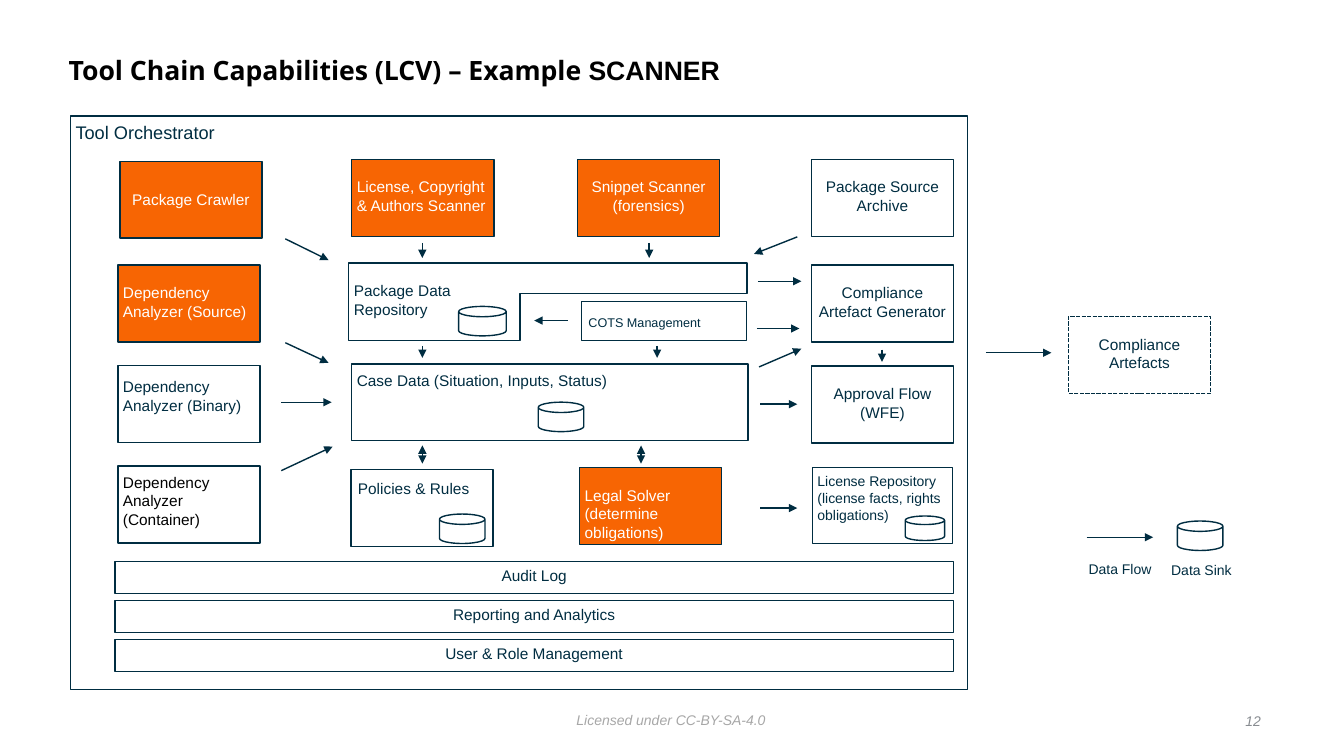
from dataclasses import dataclass

from lxml.etree import SubElement
from pptx import Presentation
from pptx.dml.color import RGBColor
from pptx.enum.dml import MSO_LINE
from pptx.enum.shapes import MSO_CONNECTOR, MSO_SHAPE
from pptx.enum.text import MSO_ANCHOR, PP_ALIGN
from pptx.oxml.ns import qn
from pptx.util import Pt


@dataclass(frozen=True)
class Theme:
    navy: RGBColor = RGBColor(0x00, 0x2D, 0x41)
    orange: RGBColor = RGBColor(0xF7, 0x65, 0x03)
    white: RGBColor = RGBColor(0xFF, 0xFF, 0xFF)
    black: RGBColor = RGBColor(0x00, 0x00, 0x00)
    licence_grey: RGBColor = RGBColor(0xA7, 0xA7, 0xA7)
    number_grey: RGBColor = RGBColor(0x88, 0x8C, 0x91)
    font: str = "Arial"
    title_font: str = "Open Sans"
    title: int = 19
    heading: int = 13
    body: int = 11
    small: int = 10
    tiny: int = 9
    line: int = 1
    inset: float = 3.6


THEME = Theme()
BOX_WIDTH, BOX_HEIGHT = 101.5, 55
LEFT, CENTER, RIGHT = PP_ALIGN.LEFT, PP_ALIGN.CENTER, PP_ALIGN.RIGHT


def set_margins(frame, left=THEME.inset, top=THEME.inset, right=THEME.inset):
    frame.margin_left, frame.margin_top = Pt(left), Pt(top)
    frame.margin_right, frame.margin_bottom = Pt(right), Pt(0)


def format_paragraph(paragraph, size, color, align=LEFT, italic=False):
    paragraph.alignment = align
    font = paragraph.font
    font.name, font.size, font.italic = THEME.font, Pt(size), italic
    font.color.rgb = color


def write(shape, text, size, color, align, **margins):
    frame = shape.text_frame
    frame.word_wrap = True
    frame.vertical_anchor = MSO_ANCHOR.TOP
    set_margins(frame, **margins)
    frame.text = text
    for paragraph in frame.paragraphs:
        format_paragraph(paragraph, size, color, align)


def paint(shape, fill=THEME.white):
    shape.shadow.inherit = False
    shape.fill.solid()
    shape.fill.fore_color.rgb = fill
    shape.line.color.rgb = THEME.navy
    shape.line.width = Pt(THEME.line)


def add_box(slide, text, x, y, width=BOX_WIDTH, height=BOX_HEIGHT, fill=THEME.white,
            color=THEME.navy, size=THEME.body, align=LEFT, top=13, left=THEME.inset):
    box = slide.shapes.add_shape(MSO_SHAPE.RECTANGLE, Pt(x), Pt(y), Pt(width), Pt(height))
    paint(box, fill)
    write(box, text, size, color, align, left=left, top=top)
    return box


def add_capability(slide, text, x, y, **options):
    add_box(slide, text, x, y, fill=THEME.orange, color=THEME.white, **options)


def add_package_repository(slide):
    left, top, step, right = 249.1, 187.9, 371.5, 533.5
    shelf, bottom = 209.5, 243.4
    builder = slide.shapes.build_freeform(Pt(left), Pt(top))
    builder.add_line_segments([(Pt(x), Pt(y)) for x, y in (
        (right, top), (right, shelf), (step, shelf), (step, bottom), (left, bottom))])
    repository = builder.convert_to_shape()
    paint(repository)
    write(repository, "Package Data Repository", THEME.body, THEME.navy, LEFT,
          top=13, right=right - step + THEME.inset)


def add_data_sink(slide, x, y, width=32.5, height=21):
    sink = slide.shapes.add_shape(MSO_SHAPE.CAN, Pt(x), Pt(y), Pt(width), Pt(height))
    sink.adjustments[0] = 0.35
    paint(sink)


def add_flow(slide, x1, y1, x2, y2, both=False):
    flow = slide.shapes.add_connector(MSO_CONNECTOR.STRAIGHT, Pt(x1), Pt(y1), Pt(x2), Pt(y2))
    flow.line.color.rgb = THEME.navy
    flow.line.width = Pt(THEME.line)
    outline = flow.line._get_or_add_ln()
    for end in ("a:headEnd", "a:tailEnd") if both else ("a:tailEnd",):
        SubElement(outline, qn(end), type="triangle")
    SubElement(flow._element.spPr, qn("a:effectLst"))


def add_label(slide, text, x, y, width, color=THEME.navy, align=LEFT, italic=False):
    label = slide.shapes.add_textbox(Pt(x), Pt(y), Pt(width), Pt(19))
    label.text_frame.word_wrap = False
    set_margins(label.text_frame)
    paragraph = label.text_frame.paragraphs[0]
    paragraph.text = text
    format_paragraph(paragraph, THEME.small, color, align, italic)


def add_title(slide):
    title = slide.shapes.title
    title.left, title.top, title.width, title.height = Pt(45.4), Pt(28), Pt(774), Pt(46.8)
    frame = title.text_frame
    frame.vertical_anchor = MSO_ANCHOR.MIDDLE
    set_margins(frame)
    frame.margin_bottom = Pt(THEME.inset)
    paragraph = frame.paragraphs[0]
    paragraph.alignment, paragraph.line_spacing = LEFT, 0.9
    paragraph.font.size, paragraph.font.bold = Pt(THEME.title), True
    paragraph.font.color.rgb = THEME.black
    for text, font in (("Tool Chain Capabilities (LCV) – Example ", THEME.title_font),
                       ("SCANNER", THEME.font)):
        run = paragraph.add_run()
        run.text, run.font.name = text, font


def add_components(slide):
    dependency_x, dependency_y, dependency_step = 84.2, 189.4, 71.7
    output_x, top_y = 579.6, 113.8

    add_capability(slide, "Package Crawler", 85.7, 115.2, align=CENTER, top=20.5)
    add_capability(slide, "License, Copyright & Authors Scanner", 251.3, top_y)
    add_capability(slide, "Snippet Scanner\n(forensics)", 412.6, top_y, align=CENTER)
    add_capability(slide, "Legal Solver (determine obligations)", 414, 334.1)

    add_capability(slide, "Dependency Analyzer (Source)", dependency_x, dependency_y)
    add_box(slide, "Dependency Analyzer (Binary)", dependency_x,
            dependency_y + dependency_step, top=8.6)
    add_box(slide, "Dependency Analyzer (Container)", dependency_x,
            dependency_y + 2 * dependency_step, color=THEME.black, top=5)

    for text, y in (("Package Source Archive", top_y),
                    ("Compliance Artefact Generator", 189.4),
                    ("Approval Flow (WFE)", 261.4)):
        add_box(slide, text, output_x, y, align=CENTER)
    add_box(slide, "License Repository (license facts, rights obligations)", 580.3, 334.1,
            width=100, height=54, size=THEME.small, top=THEME.inset)

    add_package_repository(slide)
    add_box(slide, "COTS Management", 415.4, 215.3, width=118.1, height=28.1,
            size=THEME.tiny, top=9.4, left=5)
    add_box(slide, "Case Data (Situation, Inputs, Status)", 251.3, 259.9, width=283, top=5.5)
    add_box(slide, "Policies & Rules", 250.6, 335.5, top=6.8, left=5)

    for row, text in enumerate(("Audit Log", "Reporting and Analytics", "User & Role Management")):
        add_box(slide, text, 82.1, 401 + row * 27.8, width=599, height=23,
                align=CENTER, top=THEME.inset)

    artefacts = add_box(slide, "Compliance Artefacts", 763.2, 226.1, align=CENTER)
    artefacts.line.dash_style = MSO_LINE.SQUARE_DOT


def add_flows(slide):
    for start_y, end_y in ((170.6, 185.8), (244.8, 259.2)):
        add_flow(slide, 203.8, start_y, 234.7, end_y)
    add_flow(slide, 200.9, 287.3, 236.9, 287.3)
    add_flow(slide, 200.9, 336.2, 237.6, 319)

    for x in (301.7, 463.7):
        add_flow(slide, x, 173.5, x, 184.3)
    for x in (301.7, 469.4):
        add_flow(slide, x, 247, x, 255.6)
    add_flow(slide, 630, 249.8, 630, 258.5)
    for x in (301.7, 457.9):
        add_flow(slide, x, 331.2, x, 318.2, both=True)

    add_flow(slide, 569.5, 169.2, 538.6, 181.4)
    add_flow(slide, 405.4, 229, 381.6, 229)
    for start_x, end_x, y in ((541.4, 572.4, 200.9), (540.7, 571, 234.7), (542.9, 569.5, 288.7),
                              (542.9, 569.5, 362.9), (704.2, 751, 252), (776.2, 823.7, 383.8)):
        add_flow(slide, start_x, y, end_x, y)
    add_flow(slide, 542.2, 262.1, 572.4, 249.1)


def main():
    presentation = Presentation()
    presentation.slide_width, presentation.slide_height = Pt(960), Pt(540)
    slide = presentation.slides.add_slide(presentation.slide_layouts[5])

    add_title(slide)
    add_box(slide, "Tool Orchestrator", 50.4, 82.8, width=640.8, height=409.7,
            size=THEME.heading, top=THEME.inset)
    add_components(slide)
    add_flows(slide)

    for x, y in ((384.5, 287.3), (313.9, 367.2), (841, 372.2)):
        add_data_sink(slide, x, y)
    add_data_sink(slide, 327.6, 218.9, width=34)
    add_data_sink(slide, 646.6, 368.6, width=28.1, height=17.5)

    add_label(slide, "Data Flow", 774, 396.7, 54)
    add_label(slide, "Data Sink", 833, 397.4, 52)
    add_label(slide, "Licensed under CC-BY-SA-4.0", 408.2, 504.7, 143.3,
              THEME.licence_grey, italic=True)
    add_label(slide, "12", 884.3, 505.5, 20, THEME.number_grey, RIGHT, True)
    presentation.save("out.pptx")


if __name__ == "__main__":
    main()
